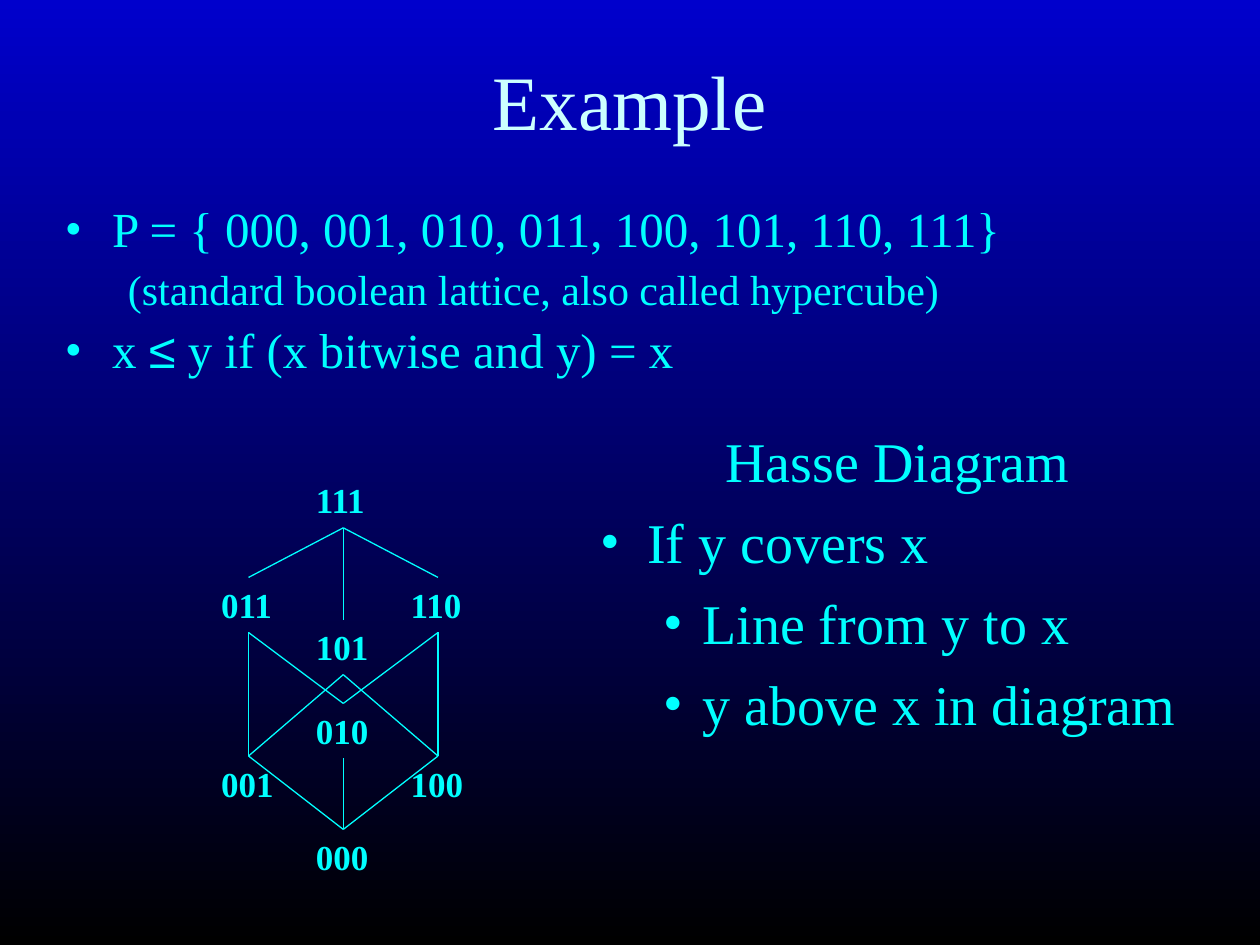
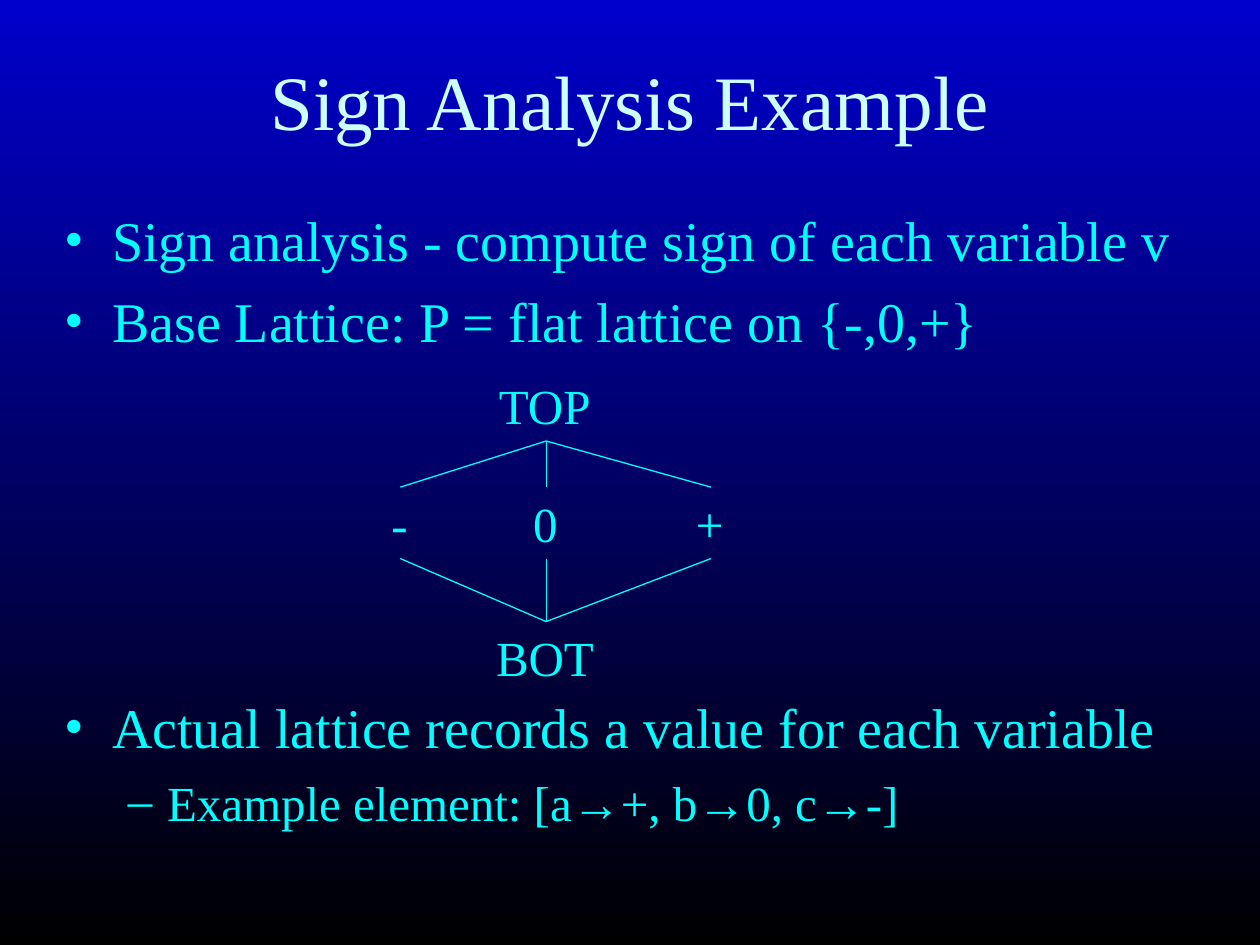
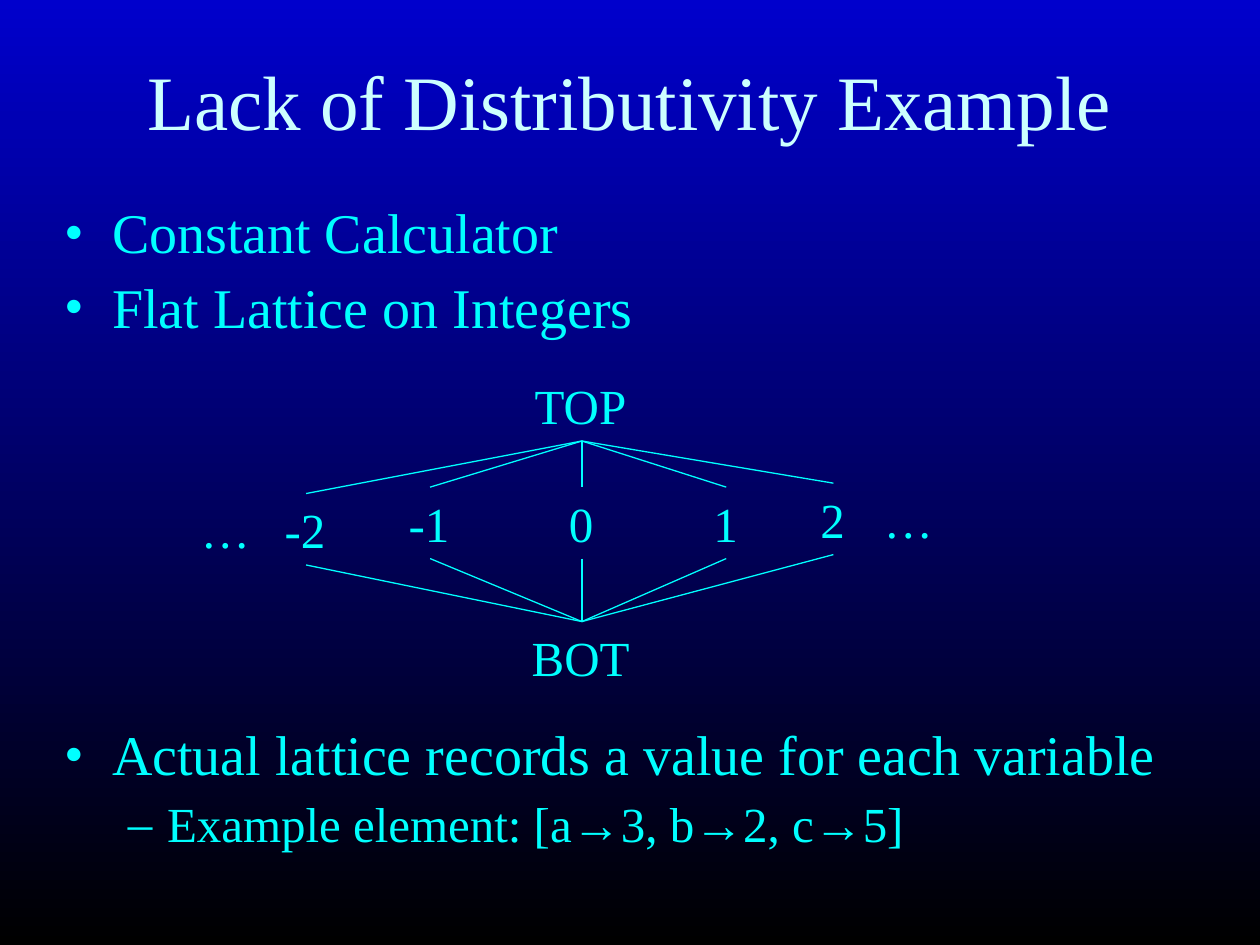
from itertools import groupby, product

from lxml.etree import SubElement
from pptx import Presentation
from pptx.dml.color import RGBColor
from pptx.enum.shapes import MSO_CONNECTOR
from pptx.enum.text import MSO_ANCHOR, MSO_AUTO_SIZE, PP_ALIGN
from pptx.oxml.ns import qn
from pptx.util import Cm, Pt

# Shared look
SKY, NIGHT = "0000CC", "000000"
TITLE_COLOUR, CYAN = "CCFFFF", "00FFFF"
SERIF, SANS = "Times New Roman", "Arial"
SYMBOLS = "≤→"
LEFT, WIDTH = 1.06, 23.28
BODY_TOP = 4.02
TOP_SIDE, BOTTOM_SIDE = 0, 2

# Left margin and first-line indent of each outline level
INDENTS = [(0.95, -0.95), (2.06, -0.79)]

# Flat lattice rows, and label widths that hold their text on one line
TOP_ROW, MIDDLE_ROW, BOTTOM_ROW = 7.45, 9.82, 12.53
LABEL_WIDTHS = {"-": 0.86, "0": 1.02, "1": 1.02, "2": 1.02, "+": 1.1,
                "-1": 1.36, "-2": 1.36, "…": 1.52, "TOP": 2.4, "BOT": 2.52}


def colour(hex_text):
    return RGBColor.from_string(hex_text)


def format_span(span, size, hex_text=CYAN, name=SERIF, bold=False):
    span.font.size = Pt(size)
    span.font.name = name
    span.font.bold = bold
    span.font.color.rgb = colour(hex_text)


def add_box(page, left, top, width, height):
    box = page.shapes.add_textbox(Cm(left), Cm(top), Cm(width), Cm(height))
    box.text_frame.word_wrap = True
    return box


def add_page(deck, title):
    page = deck.slides.add_slide(deck.slide_layouts[6])
    fill = page.background.fill
    fill.gradient()
    fill.gradient_angle = 270
    for stop, shade in zip(fill.gradient_stops, (SKY, NIGHT)):
        stop.color.rgb = colour(shade)

    box = add_box(page, LEFT, 0.42, WIDTH, 3.18)
    box.text_frame.vertical_anchor = MSO_ANCHOR.MIDDLE
    box.text_frame.text = title
    para = box.text_frame.paragraphs[0]
    para.alignment = PP_ALIGN.CENTER
    format_span(para.runs[0], 44, TITLE_COLOUR)
    return page


def set_outline(para, level, bullet):
    para.level = level
    properties = para._p.get_or_add_pPr()
    margin, indent = INDENTS[level]
    properties.set("marL", str(Cm(margin)))
    properties.set("indent", str(Cm(indent)))
    if bullet:
        bullet_colour = SubElement(properties, qn("a:buClr"))
        SubElement(bullet_colour, qn("a:srgbClr")).set("val", CYAN)
        SubElement(properties, qn("a:buFont")).set("typeface", SERIF)
        SubElement(properties, qn("a:buChar")).set("char", bullet)
    else:
        SubElement(properties, qn("a:buNone"))


def add_outline(page, place, lines, spacing=None):
    """Each line is text, level, bullet, size and space before."""
    frame = add_box(page, *place).text_frame
    for number, (text, level, bullet, size, before) in enumerate(lines):
        para = frame.add_paragraph() if number else frame.paragraphs[0]
        para.space_before = Pt(before)
        if spacing:
            para.line_spacing = spacing
        set_outline(para, level, bullet)
        for is_symbol, letters in groupby(text, lambda letter: letter in SYMBOLS):
            span = para.add_run()
            span.text = "".join(letters)
            format_span(span, size, name=SANS if is_symbol else SERIF)
    return frame


def add_label(page, text, centre, top, width, height, size, bold=False):
    box = add_box(page, centre - width / 2, top, width, height)
    frame = box.text_frame
    frame.word_wrap = False
    frame.auto_size = MSO_AUTO_SIZE.SHAPE_TO_FIT_TEXT
    frame.text = text
    format_span(frame.paragraphs[0].runs[0], size, bold=bold)
    return box


def join(page, upper, lower, upper_side=BOTTOM_SIDE):
    line = page.shapes.add_connector(MSO_CONNECTOR.STRAIGHT, 0, 0, 0, 0)
    line.begin_connect(upper, upper_side)
    line.end_connect(lower, TOP_SIDE)
    line.line.color.rgb = colour(CYAN)
    line.line.width = Pt(0.75)
    SubElement(line._element.spPr, qn("a:effectLst"))


def add_hypercube(page):
    left, middle, right = 5.01, 6.92, 8.83
    places = {"111": (middle, 9.53), "011": (left, 11.64),
              "101": (middle, 12.49), "110": (right, 11.64),
              "010": (middle, 14.18), "001": (left, 15.24),
              "000": (middle, 16.72), "100": (right, 15.24)}
    nodes = {bits: add_label(page, bits, centre, top, 1.6, 1.11, 20, True)
             for bits, (centre, top) in places.items()}
    # A node covers another when it adds exactly one bit
    for upper, lower in product(nodes, nodes):
        high, low = int(upper, 2), int(lower, 2)
        if high & low == low and bin(high ^ low).count("1") == 1:
            outer = lower == "000" and upper != "010"
            join(page, nodes[upper], nodes[lower],
                 TOP_SIDE if outer else BOTTOM_SIDE)


def add_flat_label(page, text, centre, top):
    return add_label(page, text, centre, top, LABEL_WIDTHS[text], 1.44, 28)


def add_flat_lattice(page, centre, elements):
    top = add_flat_label(page, "TOP", centre, TOP_ROW)
    bottom = add_flat_label(page, "BOT", centre, BOTTOM_ROW)
    for text, element_centre, row in elements:
        element = add_flat_label(page, text, element_centre, row)
        join(page, top, element)
        join(page, element, bottom)


def add_lattice_outline(page, first, second, example, gap, spacing=None):
    add_outline(page, (LEFT, BODY_TOP, WIDTH, 13.55), [
        (first, 0, "•", 32, 8),
        (second, 0, "•", 32, 8),
        ("Actual lattice records a value for each variable", 0, "•", 32, gap),
        (f"Example element: {example}", 1, "–", 28, 7),
    ], spacing)


def build_hypercube_page(deck):
    page = add_page(deck, "Example")
    add_outline(page, (LEFT, BODY_TOP, WIDTH, 3.81), [
        ("P = { 000, 001, 010, 011, 100, 101, 110, 111}", 0, "•", 28, 7),
        ("(standard boolean lattice, also called hypercube)", 1, None, 24, 6),
        ("x ≤ y if (x bitwise and y) = x", 0, "•", 28, 7),
    ], 0.9)
    add_hypercube(page)
    frame = add_outline(page, (11.85, 8.47, 12.49, 3.81), [
        ("Hasse Diagram", 0, None, 32, 8),
        ("If y covers x", 0, "•", 32, 8),
        ("Line from y to x", 1, "•", 32, 8),
        ("y above x in diagram", 1, "•", 32, 8),
    ])
    frame.paragraphs[0].alignment = PP_ALIGN.CENTER


def build_sign_page(deck):
    page = add_page(deck, "Sign Analysis Example")
    add_lattice_outline(page, "Sign analysis - compute sign of each variable v",
                        "Base Lattice: P = flat lattice on {-,0,+}",
                        "[a→+, b→0, c→-]", 193.5)
    add_flat_lattice(page, 11.01, [("-", 8.07, MIDDLE_ROW),
                                   ("0", 11.01, MIDDLE_ROW),
                                   ("+", 14.33, MIDDLE_ROW)])


def build_constant_page(deck):
    page = add_page(deck, "Lack of Distributivity Example")
    add_lattice_outline(page, "Constant Calculator", "Flat Lattice on Integers",
                        "[a→3, b→2, c→5]", 221, 0.9)
    left_row, right_row = 9.95, 9.74
    add_flat_lattice(page, 11.73, [("-2", 6.17, left_row),
                                   ("-1", 8.67, MIDDLE_ROW),
                                   ("0", 11.73, MIDDLE_ROW),
                                   ("1", 14.64, MIDDLE_ROW),
                                   ("2", 16.8, right_row)])
    add_flat_label(page, "…", 4.56, left_row)
    add_flat_label(page, "…", 18.33, right_row)


def main():
    deck = Presentation()
    deck.slide_width, deck.slide_height = Cm(25.4), Cm(19.05)
    build_hypercube_page(deck)
    build_sign_page(deck)
    build_constant_page(deck)
    deck.save("out.pptx")


if __name__ == "__main__":
    main()
